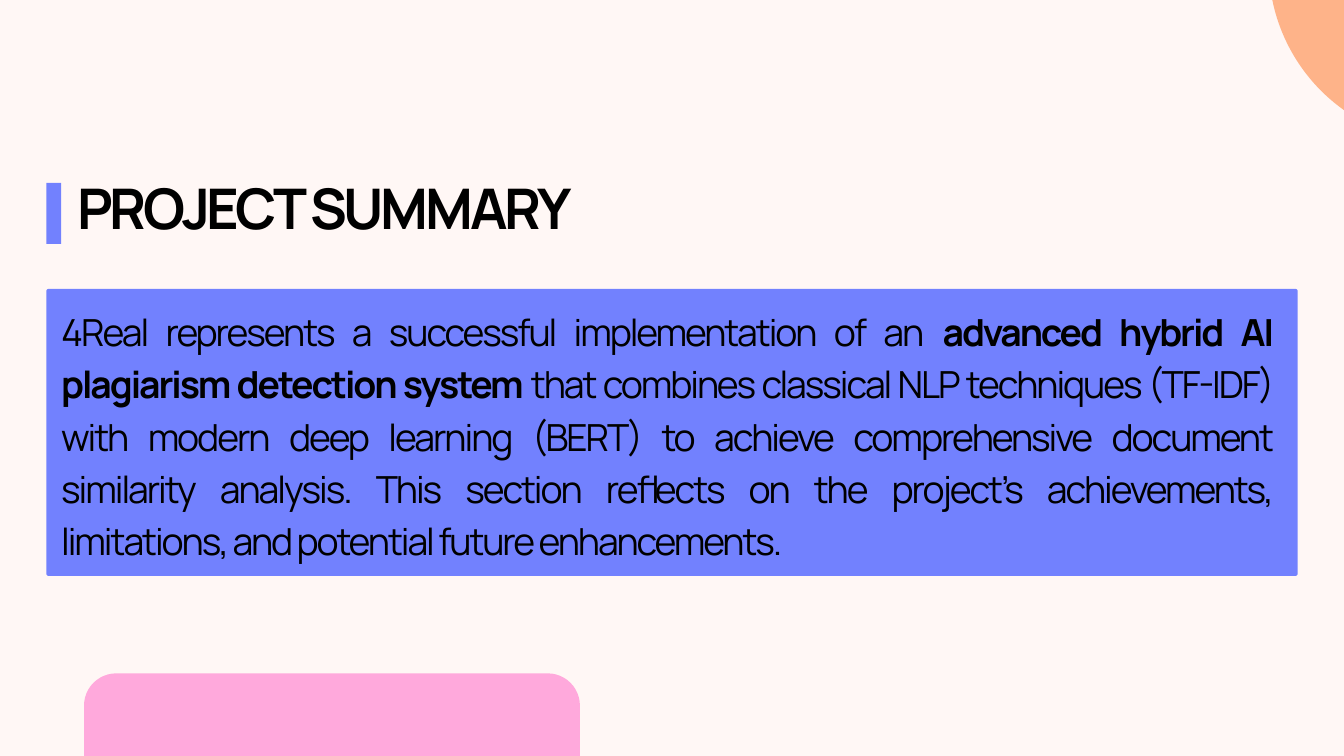
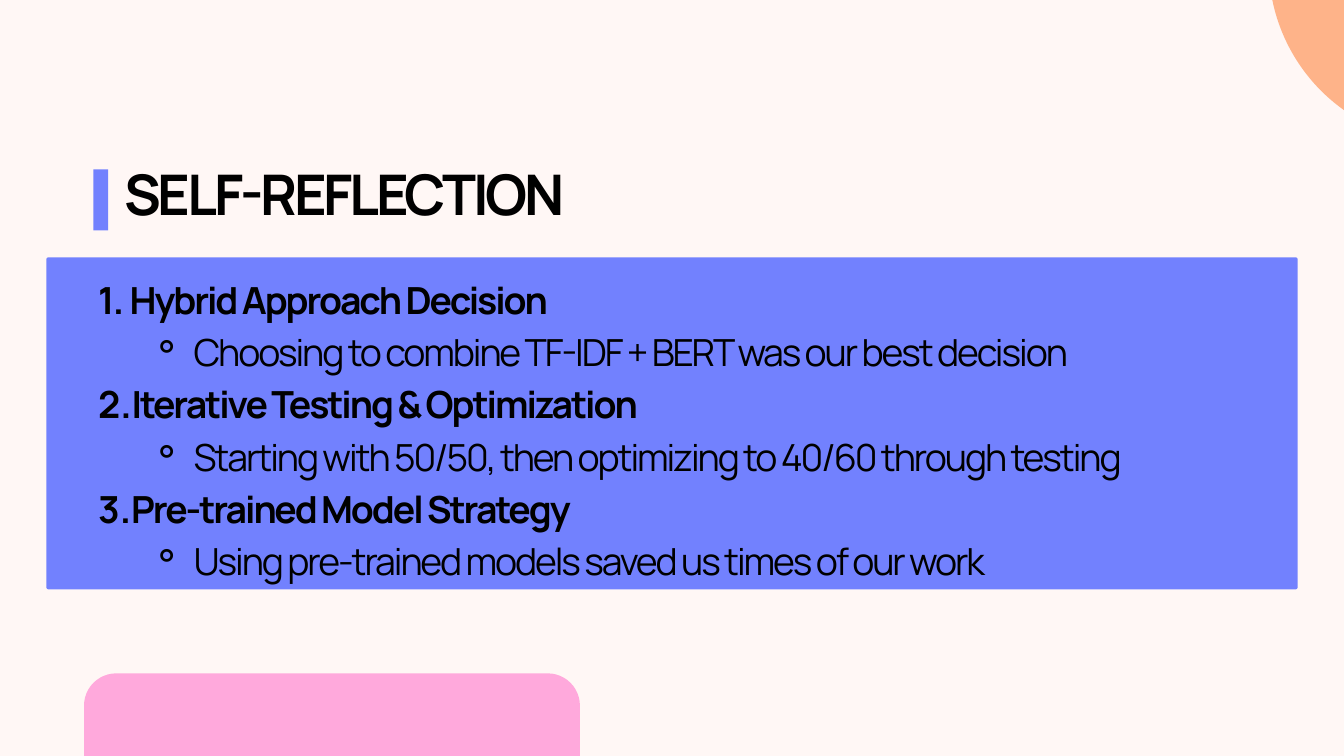
from lxml.etree import SubElement
from pptx import Presentation
from pptx.dml.color import RGBColor
from pptx.enum.shapes import MSO_SHAPE
from pptx.enum.text import PP_ALIGN
from pptx.oxml.ns import qn
from pptx.util import Inches, Pt

PAPER, INK = "FFF7F5", "000000"
BLUE, PEACH, PINK = "7281FE", "FEB389", "FFA9DC"
FONT = "Manrope"


def color(code):
    return RGBColor.from_string(code)


class Deck:
    def __init__(self):
        self.prs = Presentation()
        self.prs.slide_width = Inches(20)
        self.prs.slide_height = Inches(11.25)
        self.slide = None

    def start(self):
        """Add a slide with the shared background and corner shapes."""
        self.slide = self.prs.slides.add_slide(self.prs.slide_layouts[6])
        fill = self.slide.background.fill
        fill.solid()
        fill.fore_color.rgb = color(PAPER)
        self.shape(MSO_SHAPE.OVAL, 18.88, -3.19, 5.32, 5.32, PEACH)
        self.block(1.25, 10.02, 7.38, 3.38, PINK, 0.48)

    def shape(self, kind, left, top, width, height, fill):
        item = self.slide.shapes.add_shape(
            kind, Inches(left), Inches(top), Inches(width), Inches(height))
        item.shadow.inherit = False
        item.fill.solid()
        item.fill.fore_color.rgb = color(fill)
        item.line.fill.background()
        return item

    def block(self, left, top, width, height, fill, radius):
        """Draw a rounded rectangle with its corner radius in inches."""
        item = self.shape(MSO_SHAPE.ROUNDED_RECTANGLE, left, top, width, height, fill)
        item.adjustments[0] = radius / min(width, height)

    def card(self, top, height):
        self.block(0.69, top, 18.62, height, BLUE, 0.03)

    def text(self, left, top, width, height):
        """Add an empty text box without margins and return its frame."""
        frame = self.slide.shapes.add_textbox(
            Inches(left), Inches(top), Inches(width), Inches(height)).text_frame
        frame.word_wrap = True
        frame.margin_left = frame.margin_right = 0
        frame.margin_top = frame.margin_bottom = 0
        return frame

    def run(self, para, words, bold=False, size=40, track=-2.2):
        run = para.add_run()
        run.text = words
        font = run.font
        font.name, font.size, font.bold = FONT, Pt(size), bold
        font.color.rgb = color(INK)
        run._r.get_or_add_rPr().set("spc", str(round(track * 100)))

    def title(self, words, left, top, bar):
        """Write a heading with a blue bar at its left."""
        self.shape(MSO_SHAPE.RECTANGLE, left, bar, 0.22, 0.91, BLUE)
        para = self.text(left + 0.46, top, 16.5, 0.97).paragraphs[0]
        para.line_spacing = Pt(62.4)
        self.run(para, words, True, 60, -3.5)

    def body(self, para):
        para.alignment = PP_ALIGN.JUSTIFY
        para.line_spacing = Pt(56)

    def bullet(self, para, level, left, hang, tag, **attrs):
        para.level = level
        props = para._p.get_or_add_pPr()
        props.set("marL", str(Inches(left)))
        props.set("indent", str(-Inches(hang)))
        SubElement(props, qn(tag), attrs)

    def list(self, frame, items):
        """Fill a frame with numbered heads, each with one bulleted note."""
        para = frame.paragraphs[0]
        for i, (head, note) in enumerate(items):
            if i:
                para = frame.add_paragraph()
            self.body(para)
            self.bullet(para, 1, 0.94, 0.47, "a:buAutoNum", type="arabicPeriod")
            self.run(para, head, True)
            para = frame.add_paragraph()
            self.body(para)
            self.bullet(para, 2, 1.89, 0.63, "a:buChar", char="⚬")
            self.run(para, note)


def summary(deck):
    deck.start()
    deck.title("PROJECT SUMMARY", 0.69, 2.71, 2.72)
    deck.card(4.3, 4.27)
    para = deck.text(0.91, 4.49, 18.02, 3.87).paragraphs[0]
    deck.body(para)
    deck.run(para, "4Real represents a successful implementation of an ")
    deck.run(para, "advanced hybrid AI plagiarism detection system", True)
    deck.run(para, " that combines classical NLP techniques (TF-IDF) with modern "
             "deep learning (BERT) to achieve comprehensive document similarity "
             "analysis. This section reflects on the project’s achievements, "
             "limitations, and potential future enhancements.")


def lessons(deck):
    deck.start()
    deck.card(3.83, 4.94)
    deck.title("SELF-REFLECTION", 1.39, 2.5, 2.52)
    deck.list(deck.text(0.99, 4.01, 18.02, 4.64), [
        ("Hybrid Approach Decision",
         "Choosing to combine TF-IDF + BERT was our best decision"),
        ("Iterative Testing & Optimization",
         "Starting with 50/50, then optimizing to 40/60 through testing"),
        ("Pre-trained Model Strategy",
         "Using pre-trained models saved us times of our work"),
    ])


def main():
    deck = Deck()
    summary(deck)
    lessons(deck)
    deck.prs.save("out.pptx")


if __name__ == "__main__":
    main()
